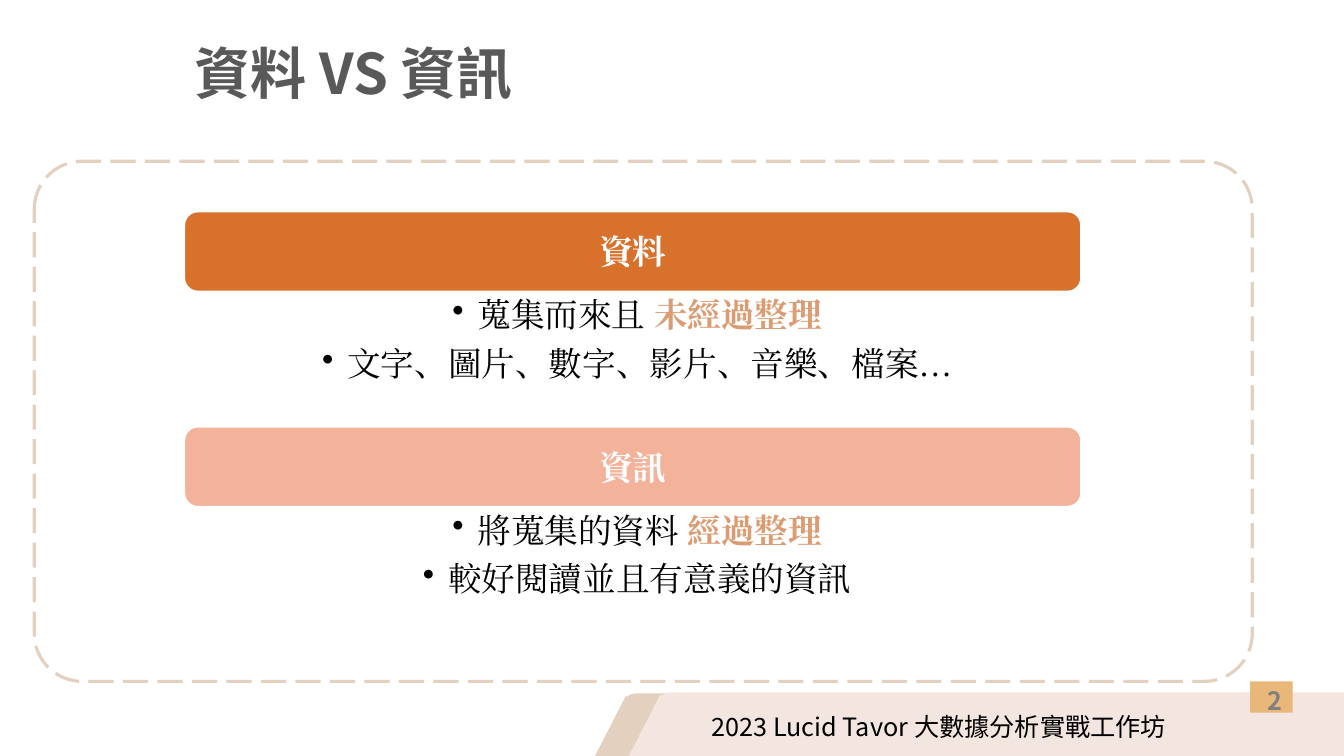
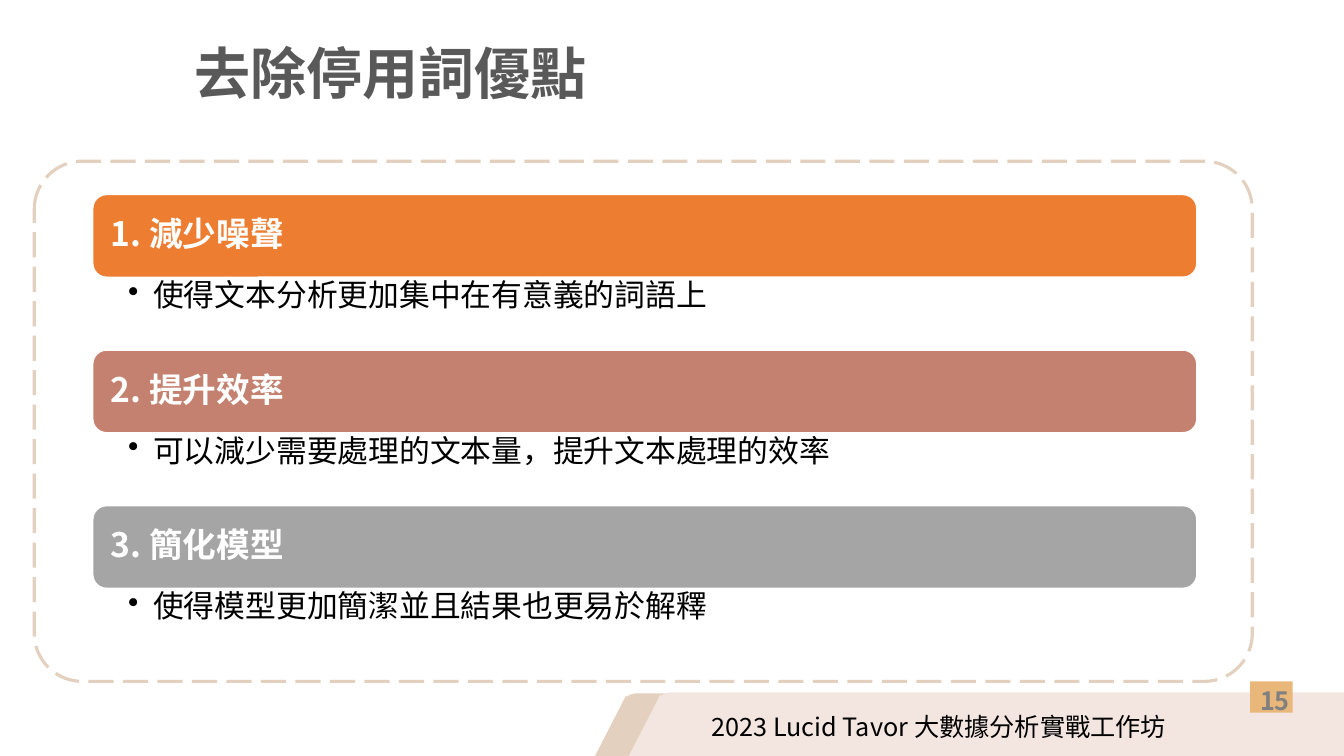
from lxml import etree
from pptx import Presentation
from pptx.dml.color import RGBColor
from pptx.enum.dml import MSO_LINE_DASH_STYLE as Dash
from pptx.enum.shapes import MSO_SHAPE as Shape
from pptx.enum.text import MSO_ANCHOR as Anchor, PP_ALIGN as Align
from pptx.oxml.ns import qn
from pptx.util import Inches, Pt

SANS = "Noto Sans CJK SC"
SERIF = "Times New Roman"
SAND, BLUSH, AMBER = "E3D0BE", "F3E6E0", "E9B77A"
BLACK, WHITE, TITLE_GREY, NUMBER_GREY = "000000", "FFFFFF", "595959", "808080"
ACCENT = "DB9C73"
FOOTER = "2023 Lucid Tavor 大數據分析實戰工作坊"


def rgb(value):
    """Turn a hex string into a colour."""
    return RGBColor.from_string(value)


def inches(box):
    """Turn a box of plain numbers into lengths."""
    return [Inches(length) for length in box]


def add_bullet(paragraph, indent=0.25):
    """Give a paragraph a hanging round bullet."""
    properties = paragraph._p.get_or_add_pPr()
    properties.set("marL", str(Inches(indent)))
    properties.set("indent", str(-Inches(indent)))
    etree.SubElement(properties, qn("a:buChar")).set("char", "•")


def write(frame, paragraphs, *, size, font=SANS, color=BLACK, bold=False,
          align=Align.LEFT, anchor=Anchor.TOP, insets=(0.1, 0.05, 0.1, 0.05),
          spacing=None, after=0, bullet=False, wrap=True):
    """Fill a text frame; a paragraph is a string or a list of (text, accent) runs."""
    frame.word_wrap = wrap
    frame.vertical_anchor = anchor
    (frame.margin_left, frame.margin_top,
     frame.margin_right, frame.margin_bottom) = inches(insets)
    for index, content in enumerate(paragraphs):
        paragraph = frame.add_paragraph() if index else frame.paragraphs[0]
        paragraph.alignment = align
        paragraph.space_before = Pt(0)
        paragraph.space_after = Pt(after)
        if spacing:
            paragraph.line_spacing = spacing
        if bullet:
            add_bullet(paragraph)
        runs = [(content, None)] if isinstance(content, str) else content
        for text, accent in runs:
            run = paragraph.add_run()
            run.text = text
            run.font.size = Pt(size)
            run.font.bold = bold or bool(accent)
            run.font.color.rgb = rgb(accent or color)
            run.font.name = font
            east_asian = etree.SubElement(run.font._element, qn("a:ea"))
            east_asian.set("typeface", font)


def add_text(slide, box, paragraphs, **style):
    """Add a text box and write in it."""
    frame = slide.shapes.add_textbox(*inches(box)).text_frame
    write(frame, paragraphs, **style)


def add_panel(slide, kind, box, fill=None, line=None, width=1, adjust=()):
    """Add a flat preset shape."""
    panel = slide.shapes.add_shape(kind, *inches(box))
    panel.shadow.inherit = False
    for index, value in enumerate(adjust):
        panel.adjustments[index] = value
    if fill:
        panel.fill.solid()
        panel.fill.fore_color.rgb = rgb(fill)
    else:
        panel.fill.background()
    if line:
        panel.line.color.rgb = rgb(line)
        panel.line.width = Pt(width)
    else:
        panel.line.fill.background()
    return panel


def add_footer(slide, number):
    """Draw the slanted bands, the workshop name and the page number."""
    for tip, start, top, width, color in ((5.83, 6.17, 6.88, 7.23, SAND),
                                          (6.17, 6.51, 6.87, 7.12, BLUSH)):
        add_panel(slide, Shape.ROUND_2_DIAG_RECTANGLE, (start, top, width, 0.74),
                  color, adjust=(0.183, 0))
        add_panel(slide, Shape.ISOSCELES_TRIANGLE, (tip, top + 0.02, 0.76, 0.74), color)
    add_panel(slide, Shape.RECTANGLE, (12.4, 6.76, 0.42, 0.31), AMBER)
    add_text(slide, (12.3, 6.75, 0.69, 0.4), [str(number)], size=18,
             color=NUMBER_GREY, bold=True, align=Align.CENTER)
    add_text(slide, (6.96, 7.01, 4.88, 0.4), [FOOTER], size=18, wrap=False)


def add_page(deck, heading, number):
    """Start a slide with its title, dashed frame and footer."""
    slide = deck.slides.add_slide(deck.slide_layouts[5])
    add_footer(slide, number)
    add_panel(slide, Shape.ROUNDED_RECTANGLE, (0.34, 1.6, 12.08, 5.16),
              line=SAND, width=2.25, adjust=(0.092,)).line.dash_style = Dash.LONG_DASH
    title = slide.shapes.title
    title.left, title.top, title.width, title.height = inches((1.83, 0.03, 10.58, 1.45))
    write(title.text_frame, [heading], size=40, color=TITLE_GREY, bold=True,
          anchor=Anchor.MIDDLE, spacing=0.9)
    return slide


def add_sections(slide, box, bar_height, sections, list_size, list_insets, **style):
    """Stack coloured heading bars, each with its bullets below, evenly in a box."""
    left, top, width, height = box
    pitch = height / len(sections)
    for index, (heading, color, bullets) in enumerate(sections):
        bar_top = top + index * pitch
        bar = add_panel(slide, Shape.ROUNDED_RECTANGLE,
                        (left, bar_top, width, bar_height), color, WHITE)
        write(bar.text_frame, [heading], size=24, color=WHITE, bold=True,
              anchor=Anchor.MIDDLE, insets=(0.14, 0.1, 0.14, 0.1), **style)
        add_text(slide, (left, bar_top + bar_height, width, pitch - bar_height), bullets,
                 size=list_size, insets=list_insets, after=6, bullet=True, **style)


def main():
    """Build and save the deck."""
    deck = Presentation()
    deck.slide_width, deck.slide_height = Inches(13.33), Inches(7.5)

    comparison = add_page(deck, "資料 VS 資訊", 2)
    add_sections(comparison, (1.83, 2.1, 8.89, 4.27), 0.79, [
        ("資料", "D7712C", [[("蒐集而來且 ", None), ("未經過整理", ACCENT)],
                          "文字、圖片、數字、影片、音樂、檔案…"]),
        ("資訊", "F3B39B", [[("將蒐集的資料 ", None), ("經過整理", ACCENT)],
                          "較好閱讀並且有意義的資訊"]),
    ], 24, (0.28, 0.03, 0.19, 0.03), font=SERIF, align=Align.CENTER)

    benefits = add_page(deck, "去除停用詞優點", 15)
    add_sections(benefits, (0.92, 1.93, 10.95, 4.63), 0.82, [
        ("1. 減少噪聲", "ED7D31", ["使得文本分析更加集中在有意義的詞語上"]),
        ("2. 提升效率", "C48170", ["可以減少需要處理的文本量，提升文本處理的效率"]),
        ("3. 簡化模型", "A5A5A5", ["使得模型更加簡潔並且結果也更易於解釋"]),
    ], 22, (0.35, 0.03, 0.17, 0.03), spacing=0.9)

    deck.save("out.pptx")


if __name__ == "__main__":
    main()
